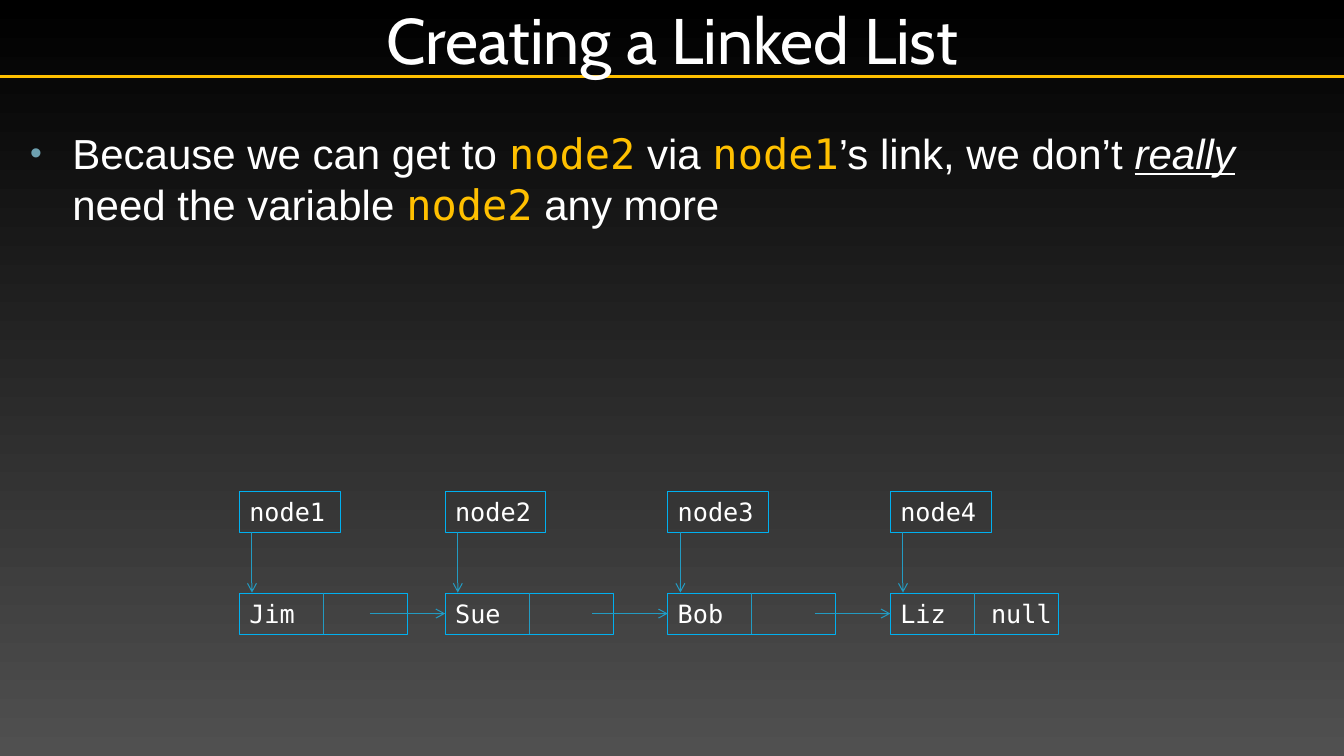
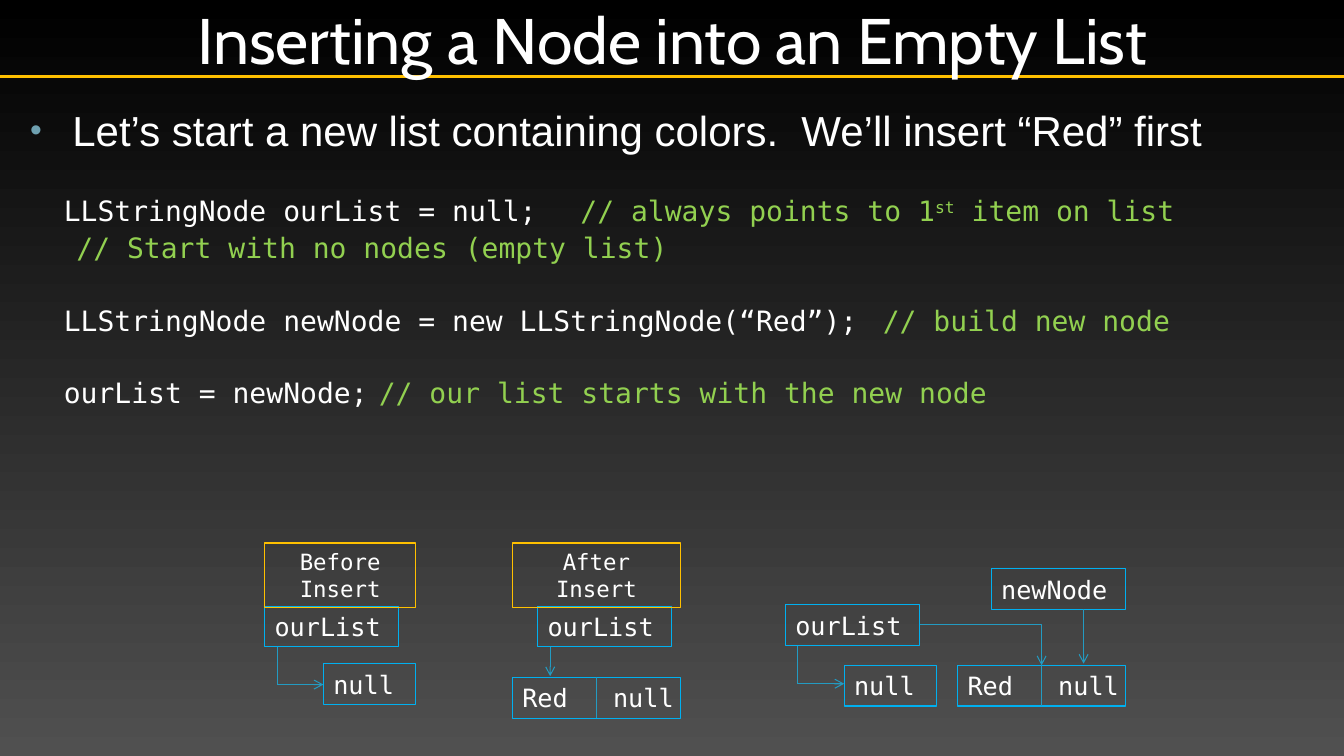
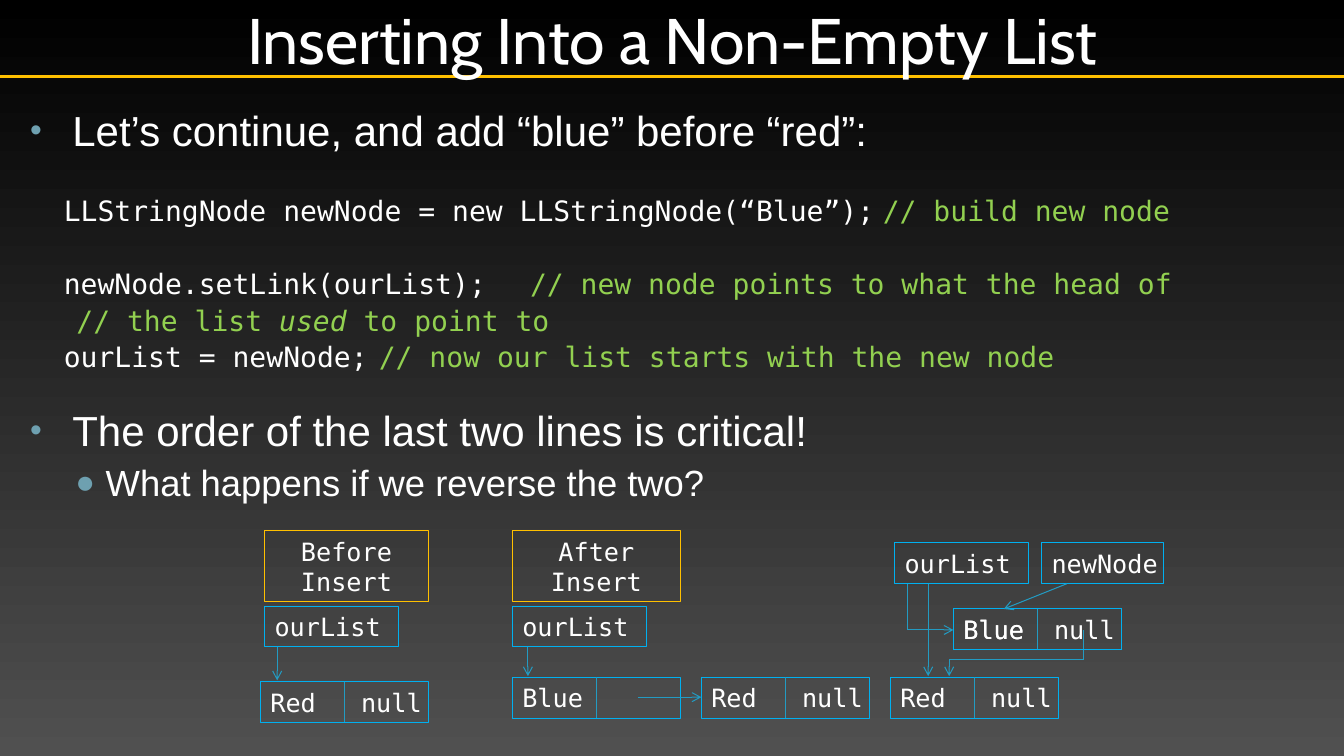
"""Build three slides on linked lists with code and node diagrams."""
import pptx
import pptx.dml.color
import pptx.enum.shapes
import pptx.enum.text
import pptx.oxml
import pptx.oxml.ns
import pptx.util

COLORS = {"top": "000000", "bottom": "505050", "rule": "FFC000", "text": "FFFFFF",
          "bullet": "6EA0B0", "box": "00B0F0", "arrow": "239BC2",
          "name": "FFC000", "comment": "92D050"}
SANS, MONO, TITLE = "Arial", "DejaVu Sans Mono", "Cabin"
COLUMNS = 320
NODE_W, BOX_H = 40, 9.7
NODE_TAB = 0.9
CODE_INDENT, CODE_CHAR = 0.04, 0.1672

LEVELS = {
    "bullet": {"font": SANS, "size": 30, "line": 36.5, "left": 0.46, "first": -0.42, "mark": ("•", 80)},
    "sub": {"font": SANS, "size": 26, "line": 34.6, "left": 0.79, "first": -0.3, "mark": ("●", 90)},
    "code": {"font": MONO, "size": 20, "line": 26, "left": 0,
             "first": CODE_INDENT + 2 * CODE_CHAR, "mark": None},
}

CHAIN = [(57, "node1", "Jim", ""), (106, "node2", "Sue", ""),
         (159, "node3", "Bob", ""), (212, "node4", "Liz", "null")]
chain_parts = []
for x, variable, value, link in CHAIN:
    chain_parts += [("node", x, 141.3, value, link), ("box", x, 117, 24, variable),
                    ("arrow", (x + 3, 126.7), (x + 3, 141.1))]
for x, *_ in CHAIN[1:]:
    chain_parts.append(("arrow", (x - 18, 146.1), (x, 146.1)))

SLIDES = [
    {"title": "Creating a Linked List", "top": 1.21,
     "body": [("bullet", 0, None, [
         ("Because we can get to ", ""), ("node2", "name"), (" via ", ""), ("node1", "name"),
         ("’s link, we don’t ", ""), ("really", "stress"), (" need the variable ", ""),
         ("node2", "name"), (" any more", "")])],
     "parts": chain_parts},
    {"title": "Inserting a Node into an Empty List", "top": 0.98,
     "body": [
         ("bullet", 0, None, [("Let’s start a new list containing colors.  We’ll insert “Red” first", "")]),
         ("code", 26, 32, [("LLStringNode ourList = null;\t", ""), ("// always points to 1", "comment"),
                           ("st", "super"), (" item on list", "comment")]),
         ("code", 0, 32, [("\t", ""), ("// Start with no nodes (empty list)", "comment")]),
         ("code", 26, 51, [("LLStringNode newNode = new LLStringNode(“Red”);\t", ""),
                           ("// build new node", "comment")]),
         ("code", 26, 28, [("ourList = newNode;\t", ""),
                           ("// our list starts with the new node", "comment")])],
     "parts": [
         ("box", 63, 144.3, 32, "ourList"),
         ("arrow", (66, 154), (66, 163), (77, 163)),
         ("box", 77, 158, 22, "null"),
         ("caption", 63, 129.3, 36, 15.4, "Before Insert", 16),
         ("node", 122, 161.3, "Red", "null"),
         ("box", 128, 144.3, 32, "ourList"),
         ("arrow", (131, 154), (131, 161)),
         ("caption", 122, 129.3, 40, 15.4, "After Insert", 16),
         ("node", 228, 158.4, "Red", "null"),
         ("box", 187, 144, 32, "ourList"),
         ("arrow", (190, 153.7), (190, 162.8), (201, 162.8)),
         ("box", 201, 158.4, 22, "null"),
         ("elbow", (219, 148.8), (248, 158.4)),
         ("box", 236, 135.4, 32, "newNode"),
         ("arrow", (258, 145), (258, 158))]},
    {"title": "Inserting Into a Non-Empty List", "top": 0.98,
     "body": [
         ("bullet", 0, None, [("Let’s continue, and add “blue” before “red”:", "")]),
         ("code", 26, 52, [("LLStringNode newNode = new LLStringNode(“Blue”);\t", ""),
                           ("// build new node", "comment")]),
         ("code", 26, 28, [("newNode.setLink(ourList);\t", ""),
                           ("// new node points to what the head of", "comment")]),
         ("code", 0, 28, [("\t", ""), ("// the list ", "comment"), ("used", "slanted"),
                          (" to point to", "comment")]),
         ("code", 0, 28, [("ourList = newNode;\t", ""),
                          ("// now our list starts with the new node", "comment")]),
         ("bullet", 22, None, [("The order of the last two lines is critical!", "")]),
         ("sub", 0, None, [("What happens if we reverse the two?", "")])],
     "parts": [
         ("box", 63, 144.3, 32, "ourList"),
         ("arrow", (66, 154), (66, 162)),
         ("caption", 63, 126.3, 39, 17, "Before Insert", 18),
         ("node", 122, 161.3, "Blue", ""),
         ("node", 167, 161.3, "Red", "null"),
         ("box", 122, 144.3, 32, "ourList"),
         ("arrow", (125.7, 154), (125.7, 161)),
         ("caption", 122, 126.3, 40, 17, "After Insert", 18),
         ("node", 62, 162.3, "Red", "null"),
         ("arrow", (152, 166), (167, 166)),
         ("node", 212, 161.3, "Red", "null"),
         ("box", 213, 129.2, 32, "ourList"),
         ("arrow", (221, 139), (221, 161)),
         ("node", 227, 145, "Blue", "null"),
         ("arrow", (258, 150), (258, 157), (226, 157), (226, 161)),
         ("box", 227, 145, NODE_W, "Blue"),
         ("arrow", (216, 139), (216, 150), (227, 150)),
         ("box", 248, 129.2, 29, "newNode"),
         ("arrow", (254, 139), (239, 145))]},
]

Inches, Pt = pptx.util.Inches, pptx.util.Pt
CONNECTOR = pptx.enum.shapes.MSO_CONNECTOR
ALIGN = pptx.enum.text.PP_ALIGN

prs = pptx.Presentation()
prs.slide_width, prs.slide_height = Inches(13.333), Inches(7.5)


def rgb(name):
    return pptx.dml.color.RGBColor.from_string(COLORS[name])


def grid(cells):
    return round(cells * prs.slide_width / COLUMNS)


def add_xml(parent, tag, **attributes):
    child = pptx.oxml.parse_xml(f"<a:{tag} {pptx.oxml.ns.nsdecls('a')}/>")
    for key, value in attributes.items():
        child.set(key, str(value))
    parent.append(child)
    return child


def add_tab(p, inches):
    add_xml(add_xml(p._p.get_or_add_pPr(), "tabLst"), "tab", pos=Inches(inches), algn="l")


def set_font(font, name, size):
    font.name, font.size = name, Pt(size)
    font.color.rgb = rgb("text")


def connect(s, start, end, color="arrow", width=0.75, head=False, elbow=False):
    kind = CONNECTOR.ELBOW if elbow else CONNECTOR.STRAIGHT
    line = s.shapes.add_connector(kind, *map(grid, start + end))
    line.line.color.rgb, line.line.width = rgb(color), Pt(width)
    if head:
        add_xml(line.line._get_or_add_ln(), "tailEnd", type="arrow")
    if elbow:
        line._element.spPr.prstGeom.set("prst", "bentConnector2")
    add_xml(line._element.spPr, "effectLst")


def arrow(s, *points):
    for start, end in zip(points, points[1:]):
        connect(s, start, end, head=end == points[-1])


def elbow(s, start, end):
    connect(s, start, end, head=True, elbow=True)


def box(s, x, y, w, text, h=BOX_H, size=18, edge="box", align=ALIGN.LEFT, right=0):
    sp = s.shapes.add_shape(pptx.enum.shapes.MSO_SHAPE.RECTANGLE, *map(grid, (x, y, w, h)))
    sp.shadow.inherit = False
    sp.fill.background()
    sp.line.color.rgb, sp.line.width = rgb(edge), Pt(0.75)
    tf = sp.text_frame
    tf.word_wrap, tf.margin_right = True, Inches(right)
    p = tf.paragraphs[0]
    p.add_run().text = text
    p.alignment = align
    set_font(p.font, MONO, size)
    return p


def caption(s, x, y, w, h, text, size):
    box(s, x, y, w, text, h, size, "rule", ALIGN.CENTER, 0.1)


def node(s, x, y, value, link):
    p = box(s, x, y, NODE_W, f"{value}\t{link}" if link else value)
    if link:
        add_tab(p, NODE_TAB)
    middle = x + NODE_W / 2
    connect(s, (middle, y), (middle, y + BOX_H))


def add_title(s, text):
    tf = s.shapes.add_textbox(Inches(1.67), 0, Inches(10), Inches(0.77)).text_frame
    tf.word_wrap = True
    tf.vertical_anchor = pptx.enum.text.MSO_ANCHOR.MIDDLE
    tf.margin_left = tf.margin_right = tf.margin_top = tf.margin_bottom = Inches(0.05)
    p = tf.paragraphs[0]
    p.add_run().text = text
    p.alignment = ALIGN.CENTER
    set_font(p.font, TITLE, 46)


def add_run(p, text, style):
    r = p.add_run()
    r.text = text
    if style == "name":
        r.font.name = MONO
        r.font.color.rgb = rgb("name")
    elif style == "stress":
        r.font.italic = r.font.underline = True
    elif style:
        r.font.color.rgb = rgb("comment")
        if style == "slanted":
            r.font.italic = True
        if style == "super":
            r.font._element.set("baseline", "30000")


def add_body(s, top, lines):
    tf = s.shapes.add_textbox(Inches(0.16), Inches(top), Inches(13.02), Inches(7.28 - top)).text_frame
    tf.word_wrap = True
    for number, (level, before, column, runs) in enumerate(lines):
        p = tf.add_paragraph() if number else tf.paragraphs[0]
        look = LEVELS[level]
        p.line_spacing, p.space_before = Pt(look["line"]), Pt(before)
        pPr = p._p.get_or_add_pPr()
        pPr.set("marL", str(Inches(look["left"])))
        pPr.set("indent", str(Inches(look["first"])))
        if look["mark"]:
            char, percent = look["mark"]
            add_xml(add_xml(pPr, "buClr"), "srgbClr", val=COLORS["bullet"])
            add_xml(pPr, "buSzPct", val=percent * 1000)
            add_xml(pPr, "buFont", typeface=SANS)
            add_xml(pPr, "buChar", char=char)
        if column:
            add_tab(p, CODE_INDENT + column * CODE_CHAR)
        set_font(p.font, look["font"], look["size"])
        for text, style in runs:
            add_run(p, text, style)


fill = prs.slide_master.background.fill
fill.gradient()
fill.gradient_angle = 270
for stop, shade in zip(fill.gradient_stops, ("top", "bottom")):
    stop.color.rgb = rgb(shade)

DRAW = {"box": box, "node": node, "caption": caption, "arrow": arrow, "elbow": elbow}
for content in SLIDES:
    s = prs.slides.add_slide(prs.slide_layouts[6])
    connect(s, (0, 18.2), (COLUMNS, 18.2), "rule", 2.5)
    add_title(s, content["title"])
    add_body(s, content["top"], content["body"])
    for kind, *place in content["parts"]:
        DRAW[kind](s, *place)

prs.save("out.pptx")
